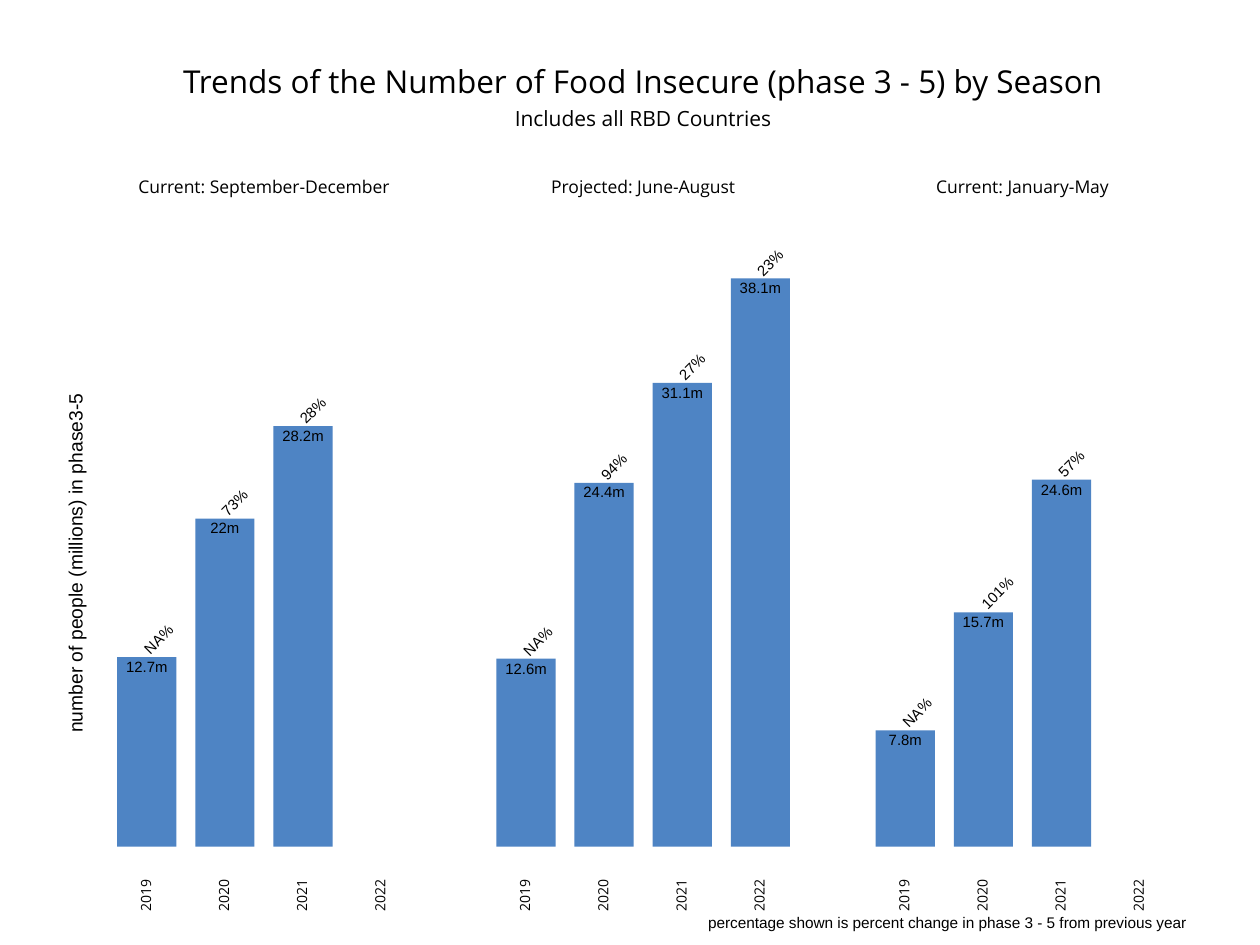
import pptx
import pptx.dml.color
import pptx.enum.shapes
import pptx.enum.text
import pptx.util

Inches = pptx.util.Inches
Pt = pptx.util.Pt

COLOURS = {"paper": "FFFFFF", "bar": "4E84C4", "ink": "000000"}
GLYPHS = {".": 0.033, "m": 0.098, "%": 0.105, "N": 0.085, "A": 0.079}
DIGIT = 0.066

YEARS = ["2019", "2020", "2021", "2022"]
PANELS = [
    ("Current: September-December", 1.91, [(12.7, "NA"), (22, "73"), (28.2, "28")]),
    ("Projected: June-August", 1.44, [(12.6, "NA"), (24.4, "94"), (31.1, "27"), (38.1, "23")]),
    ("Current: January-May", 1.34, [(7.8, "NA"), (15.7, "101"), (24.6, "57")]),
]

FIRST_LEFT = 0.93
PANEL_STEP = 3.01
BAR_STEP = 0.62
BAR_WIDTH = 0.47
BASELINE = 6.72
INCHES_PER_MILLION = 4.51 / 38.1
SLACK = 1.08


def label_width(text):
    return sum(GLYPHS.get(glyph, DIGIT) for glyph in text)


class Painter:
    sans = "Arial"
    heading = "Open Sans"

    def __init__(self, page):
        self.page = page

    def colour(self, name):
        return pptx.dml.color.RGBColor.from_string(COLOURS[name])

    def rectangle(self, left, top, width, height, fill, line=None):
        box = self.page.shapes.add_shape(
            pptx.enum.shapes.MSO_SHAPE.RECTANGLE,
            Inches(left), Inches(top), Inches(width), Inches(height))
        box.shadow.inherit = False
        box.fill.solid()
        box.fill.fore_color.rgb = self.colour(fill)
        if line:
            box.line.color.rgb = self.colour(line)
            box.line.width = Pt(0.75)
        else:
            box.line.fill.background()

    def text(self, words, centre_x, centre_y, width, height, size, font, rotation=0):
        roomy = width * SLACK
        box = self.page.shapes.add_textbox(
            Inches(centre_x - roomy / 2), Inches(centre_y - height / 2),
            Inches(roomy), Inches(height))
        box.rotation = rotation
        frame = box.text_frame
        frame.margin_left = frame.margin_right = 0
        frame.margin_top = frame.margin_bottom = 0
        frame.word_wrap = False
        frame.vertical_anchor = pptx.enum.text.MSO_ANCHOR.MIDDLE
        para = frame.paragraphs[0]
        para.alignment = pptx.enum.text.PP_ALIGN.CENTER
        para.line_spacing = Pt(size)
        span = para.add_run()
        span.text = words
        span.font.name = font
        span.font.size = Pt(size)
        span.font.color.rgb = self.colour("ink")

    def bar(self, left, millions, change):
        height = millions * INCHES_PER_MILLION
        top = BASELINE - height
        self.rectangle(left, top, BAR_WIDTH, height, "bar")
        value = f"{millions}m"
        self.text(value, left + BAR_WIDTH / 2, top + 0.085,
                  label_width(value), 0.09, 8.5, self.sans)
        percent = f"{change}%"
        width = label_width(percent)
        self.text(percent, left + 0.2 + width / 2, top - width / 2,
                  width, 0.09, 8.5, self.sans, 315)

    def panel(self, left, title, title_width, bars):
        for index, (millions, change) in enumerate(bars):
            self.bar(left + index * BAR_STEP, millions, change)
        centre = left + ((len(YEARS) - 1) * BAR_STEP + BAR_WIDTH) / 2
        self.text(title, centre, 1.495, title_width, 0.13, 10, self.heading)
        for index, year in enumerate(YEARS):
            self.text(year, left + index * BAR_STEP + BAR_WIDTH / 2, 7.11,
                      0.25, 0.08, 8, self.heading, 270)


def main():
    deck = pptx.Presentation()
    deck.slide_width = Inches(10)
    deck.slide_height = Inches(7.5)
    painter = Painter(deck.slides.add_slide(deck.slide_layouts[6]))

    painter.rectangle(0.5, 0.5, 9, 7, "paper", "paper")
    for index, (title, title_width, bars) in enumerate(PANELS):
        painter.panel(FIRST_LEFT + index * PANEL_STEP, title, title_width, bars)

    painter.text("number of people (millions) in phase3-5",
                 0.61, 4.47, 2.68, 0.14, 11, painter.sans, 270)
    painter.text("Includes all RBD Countries",
                 5.105, 0.95, 1.99, 0.12, 12, painter.heading)
    painter.text("Trends of the Number of Food Insecure (phase 3 - 5) by Season",
                 5.105, 0.665, 7.11, 0.23, 18, painter.heading)
    painter.text("percentage shown is percent change in phase 3 - 5 from previous year",
                 7.52, 7.335, 3.82, 0.11, 8.8, painter.sans)
    deck.save("out.pptx")


if __name__ == "__main__":
    main()
